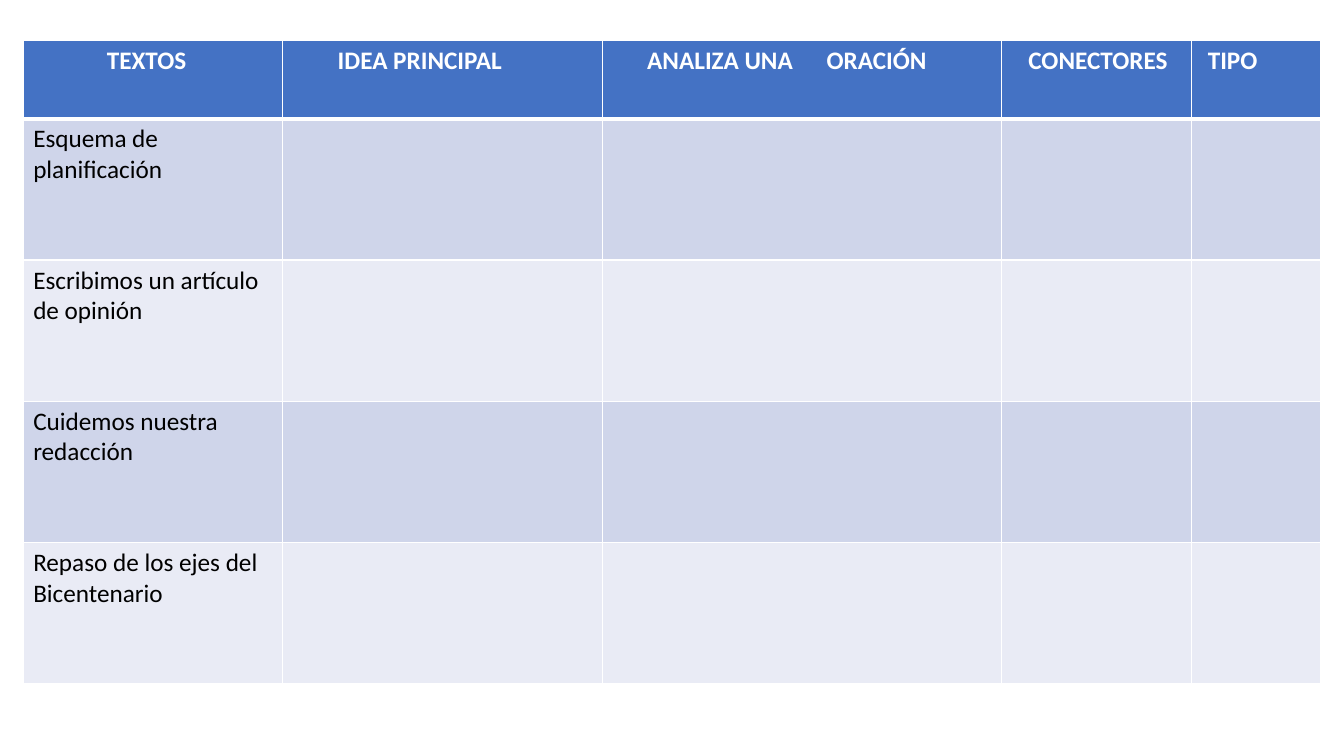
from lxml.etree import SubElement
from pptx import Presentation
from pptx.dml.color import RGBColor
from pptx.oxml.ns import qn
from pptx.util import Inches, Pt

HEADERS = ["TEXTOS", "IDEA PRINCIPAL", "ANALIZA UNA\tORACIÓN", "CONECTORES", "TIPO"]
HEADER_INDENTS = [0.73, 0.45, 0.34, 0.17, 0.06]
TEXTS = [
    "Esquema de planificación",
    "Escribimos un artículo de opinión",
    "Cuidemos nuestra redacción",
    "Repaso de los ejes del Bicentenario",
]
COLUMN_WIDTHS = [2.57, 3.18, 3.95, 1.89, 1.28]
HEADER_HEIGHT, BODY_HEIGHT = 0.78, 1.4
CELL_MARGIN = 0.1
HEADER_FILL, BAND_FILLS = "4472C4", ["CFD5EA", "E9EBF5"]
WHITE, BLACK = "FFFFFF", "000000"


def format_cell(cell, fill, bottom_width=1):
    """Give a cell white borders and a solid fill."""
    properties = cell._tc.get_or_add_tcPr()
    for side, width in {"L": 1, "R": 1, "T": 1, "B": bottom_width}.items():
        line = SubElement(properties, qn(f"a:ln{side}"), w=str(Pt(width)))
        solid = SubElement(line, qn("a:solidFill"))
        SubElement(solid, qn("a:srgbClr"), val=WHITE)
    cell.fill.solid()
    cell.fill.fore_color.rgb = RGBColor.from_string(fill)


def write_cell(cell, text, color, bold):
    """Write one run of 18 point Calibri in a cell."""
    run = cell.text_frame.paragraphs[0].add_run()
    run.text = text
    run.font.name = "Calibri"
    run.font.size = Pt(18)
    run.font.bold = bold
    run.font.color.rgb = RGBColor.from_string(color)


presentation = Presentation()
presentation.slide_width = Inches(13.33)
presentation.slide_height = Inches(7.5)
slide = presentation.slides.add_slide(presentation.slide_layouts[6])

table = slide.shapes.add_table(
    len(TEXTS) + 1, len(HEADERS), Inches(0.23), Inches(0.4),
    Inches(sum(COLUMN_WIDTHS)), Inches(HEADER_HEIGHT + BODY_HEIGHT * len(TEXTS)),
).table
for column, width in zip(table.columns, COLUMN_WIDTHS):
    column.width = Inches(width)
for index, row in enumerate(table.rows):
    row.height = Inches(BODY_HEIGHT if index else HEADER_HEIGHT)

# Header row: each title has its own indent
for index, (header, indent) in enumerate(zip(HEADERS, HEADER_INDENTS)):
    cell = table.cell(0, index)
    format_cell(cell, HEADER_FILL, bottom_width=3)
    cell.margin_left = Inches(CELL_MARGIN + indent)
    cell.margin_right = 0
    write_cell(cell, header, WHITE, True)
    if "\t" in header:
        paragraph_properties = cell.text_frame.paragraphs[0]._p.get_or_add_pPr()
        tab_list = SubElement(paragraph_properties, qn("a:tabLst"))
        SubElement(tab_list, qn("a:tab"), pos=str(Inches(1.78)), algn="l")

# Body rows: alternating bands, with text in the first column
for row_index, text in enumerate(TEXTS, start=1):
    for column_index in range(len(HEADERS)):
        format_cell(table.cell(row_index, column_index), BAND_FILLS[(row_index - 1) % 2],)
    write_cell(table.cell(row_index, 0), text, BLACK, False)

presentation.save("out.pptx")
